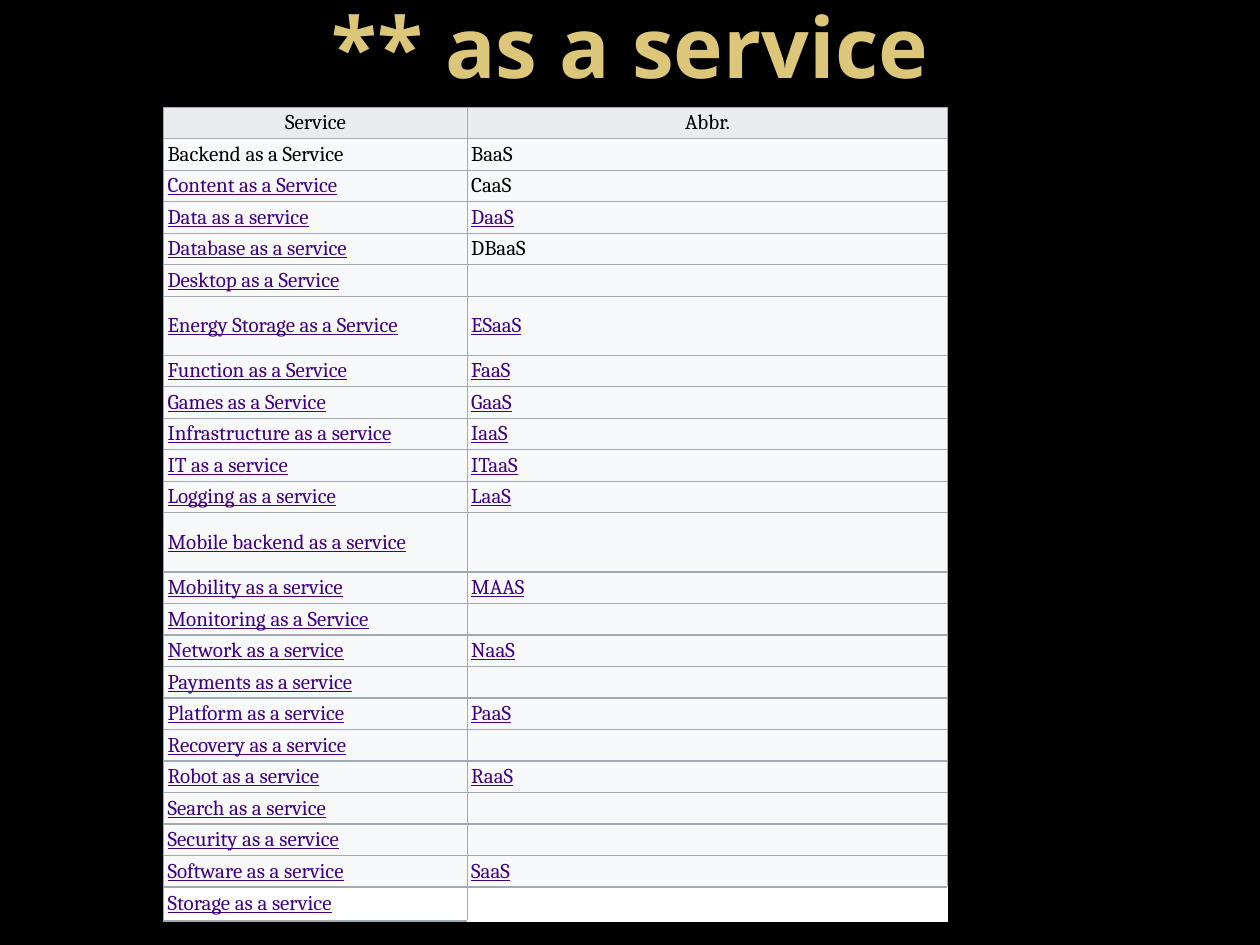
import pptx
import pptx.util
import pptx.dml.color
import pptx.enum.text
import pptx.oxml
import pptx.oxml.ns

Inches, Pt = pptx.util.Inches, pptx.util.Pt
PP_ALIGN, MSO_ANCHOR = pptx.enum.text.PP_ALIGN, pptx.enum.text.MSO_ANCHOR

W, H = 10, 7.5
BLACK, GOLD, PURPLE, GRAY = "000000", "DCC679", "410082", "A2A9B1"
HEAD_FILL, BODY_FILL, LAST_FILL = "EAECF0", "F8F9FA", "FFFFFF"
COLS = (2.41, 3.81)
ROW, TALL_ROW, LAST_ROW = 0.25, 0.47, 0.27
TALL = {"Energy Storage as a Service", "Mobile backend as a service"}
PLAIN = {"Service", "Abbr.", "Backend as a Service", "BaaS", "CaaS", "DBaaS"}
SERVICES = [
    ("Service", "Abbr."),
    ("Backend as a Service", "BaaS"),
    ("Content as a Service", "CaaS"),
    ("Data as a service", "DaaS"),
    ("Database as a service", "DBaaS"),
    ("Desktop as a Service", ""),
    ("Energy Storage as a Service", "ESaaS"),
    ("Function as a Service", "FaaS"),
    ("Games as a Service", "GaaS"),
    ("Infrastructure as a service", "IaaS"),
    ("IT as a service", "ITaaS"),
    ("Logging as a service", "LaaS"),
    ("Mobile backend as a service", ""),
    ("Mobility as a service", "MAAS"),
    ("Monitoring as a Service", ""),
    ("Network as a service", "NaaS"),
    ("Payments as a service", ""),
    ("Platform as a service", "PaaS"),
    ("Recovery as a service", ""),
    ("Robot as a service", "RaaS"),
    ("Search as a service", ""),
    ("Security as a service", ""),
    ("Software as a service", "SaaS"),
    ("Storage as a service", ""),
]


def rgb(color):
    return pptx.dml.color.RGBColor.from_string(color)


def add_run(p, text, font, size, color, bold=False, underline=False):
    r = p.add_run()
    r.text = text
    r.font.name, r.font.size = font, Pt(size)
    r.font.bold, r.font.underline = bold, underline
    r.font.color.rgb = rgb(color)


def set_borders(cell, sides):
    """Draw the given sides, in the order L, R, T, B that the format asks for."""
    tcPr = cell._tc.get_or_add_tcPr()
    for i, side in enumerate(sides):
        tcPr.insert(i, pptx.oxml.parse_xml(
            f'<a:ln{side} {pptx.oxml.ns.nsdecls("a")} w="{Pt(0.75)}"><a:solidFill>'
            f'<a:srgbClr val="{GRAY}"/></a:solidFill></a:ln{side}>'))


def fill_cell(cell, text, fill, align, sides):
    cell.margin_left = cell.margin_right = Inches(0.03)
    cell.margin_top = cell.margin_bottom = Inches(0.02)
    cell.vertical_anchor = MSO_ANCHOR.MIDDLE
    cell.fill.solid()
    cell.fill.fore_color.rgb = rgb(fill)
    set_borders(cell, sides)
    p = cell.text_frame.paragraphs[0]
    p.alignment = align
    if text:
        plain = text in PLAIN
        add_run(p, text, "Cambria", 12, BLACK if plain else PURPLE, underline=not plain)
    else:
        # An empty cell would otherwise stretch its row to the default text size
        p._p.get_or_add_endParaRPr().set("sz", "1200")


def place_title(s, x, y, w, h):
    sp = s.shapes.title
    sp.left, sp.top, sp.width, sp.height = (Inches(v) for v in (x, y, w, h))
    tf = sp.text_frame
    tf.word_wrap = True
    tf.auto_size = pptx.enum.text.MSO_AUTO_SIZE.NONE
    tf.vertical_anchor = MSO_ANCHOR.BOTTOM
    tf.margin_left = tf.margin_right = Inches(0.1)
    tf.margin_top, tf.margin_bottom = Inches(0.05), 0
    p = tf.paragraphs[0]
    p.alignment = PP_ALIGN.CENTER
    add_run(p, "** as a service", "Noto Sans", 48, GOLD, bold=True)


def place_services(s, x, y):
    last = len(SERVICES) - 1
    heights = [TALL_ROW if name in TALL else ROW for name, _ in SERVICES]
    heights[last] = LAST_ROW
    box = (Inches(v) for v in (x, y, sum(COLS), sum(heights)))
    table = s.shapes.add_table(len(SERVICES), len(COLS), *box).table
    for column, width in zip(table.columns, COLS):
        column.width = Inches(width)
    for i, (row, height) in enumerate(zip(table.rows, heights)):
        row.height = Inches(height)
        fill = {0: HEAD_FILL, last: LAST_FILL}.get(i, BODY_FILL)
        align = PP_ALIGN.LEFT if i else PP_ALIGN.CENTER
        for j, text in enumerate(SERVICES[i]):
            sides = "LT" if (i, j) == (last, 1) else "LRTB"
            fill_cell(table.cell(i, j), text, fill, align, sides)


def main():
    prs = pptx.Presentation()
    prs.slide_width, prs.slide_height = Inches(W), Inches(H)
    s = prs.slides.add_slide(prs.slide_layouts[5])
    s.background.fill.solid()
    s.background.fill.fore_color.rgb = rgb(BLACK)
    place_title(s, 0, -0.11, W, 0.87)
    place_services(s, 0.13 * W, 0.85)
    prs.save("out.pptx")


if __name__ == "__main__":
    main()
